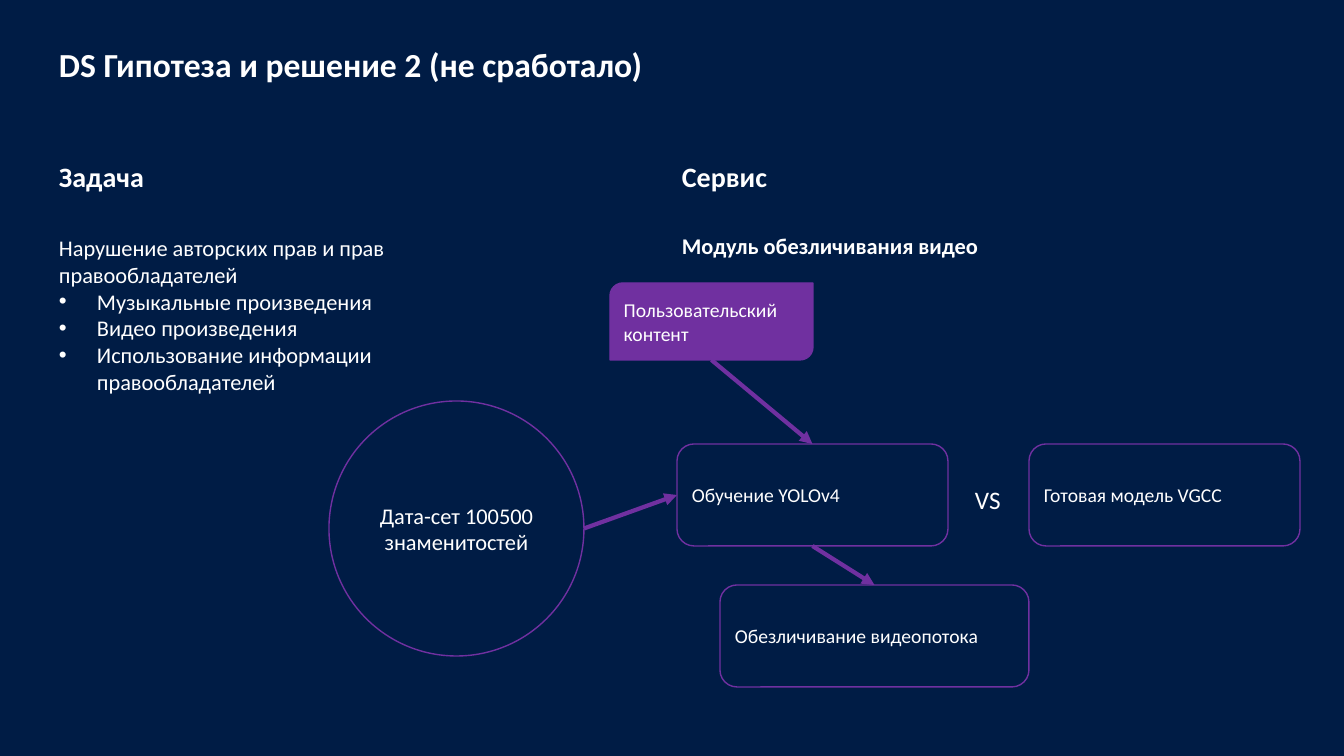
from dataclasses import dataclass

import lxml.etree
import pptx
import pptx.dml.color
import pptx.enum.dml
import pptx.enum.shapes
import pptx.enum.text
import pptx.oxml.ns
import pptx.util

SLIDE_WIDTH, SLIDE_HEIGHT = 1344, 756
EMU_PER_PX = 12192000 / SLIDE_WIDTH
FONT = "Calibri"
NAVY, PURPLE, WHITE = "001C45", "7030A0", "FFFFFF"
BULLET_INDENT = 38

SHAPES = pptx.enum.shapes.MSO_SHAPE
ALIGN = pptx.enum.text.PP_ALIGN


@dataclass
class Label:
    text: str
    left: int
    top: int
    width: int
    height: int
    size: int
    bold: bool = False
    wrap: bool = True
    bulleted_from: int | None = None


@dataclass
class Node:
    text: str
    left: int
    top: int
    width: int
    height: int
    preset: pptx.enum.shapes.MSO_SHAPE = SHAPES.ROUNDED_RECTANGLE
    size: int = 14
    fill: str | None = None
    align: pptx.enum.text.PP_ALIGN = ALIGN.LEFT


def px(length: float) -> int:
    return round(length * EMU_PER_PX)


def color(value: str) -> pptx.dml.color.RGBColor:
    return pptx.dml.color.RGBColor.from_string(value)


def add_child(parent, tag: str, **attributes: str) -> None:
    lxml.etree.SubElement(parent, pptx.oxml.ns.qn(tag), **attributes)


def write(frame, text: str, size: int, bold: bool = False) -> None:
    frame.text = text
    for paragraph in frame.paragraphs:
        for run in paragraph.runs:
            run.font.name = FONT
            run.font.size = pptx.util.Pt(size)
            run.font.bold = bold
            run.font.color.rgb = color(WHITE)


def add_bullet(paragraph) -> None:
    properties = paragraph._p.get_or_add_pPr()
    properties.set("marL", str(px(BULLET_INDENT)))
    properties.set("indent", str(-px(BULLET_INDENT)))
    add_child(properties, "a:buFont", typeface="Arial")
    add_child(properties, "a:buChar", char="•")


def draw_label(slide, label: Label) -> None:
    box = slide.shapes.add_textbox(
        px(label.left), px(label.top), px(label.width), px(label.height))
    frame = box.text_frame
    frame.word_wrap = label.wrap
    frame.auto_size = pptx.enum.text.MSO_AUTO_SIZE.SHAPE_TO_FIT_TEXT
    write(frame, label.text, label.size, label.bold)
    if label.bulleted_from is not None:
        for paragraph in frame.paragraphs[label.bulleted_from:]:
            add_bullet(paragraph)


def draw_node(slide, node: Node):
    shape = slide.shapes.add_shape(
        node.preset, px(node.left), px(node.top), px(node.width), px(node.height))
    shape.shadow.inherit = False
    if node.fill:
        shape.fill.solid()
        shape.fill.fore_color.rgb = color(node.fill)
    else:
        shape.fill.background()
    shape.line.color.rgb = color(PURPLE)
    shape.line.width = pptx.util.Pt(1)
    frame = shape.text_frame
    frame.word_wrap = True
    frame.vertical_anchor = pptx.enum.text.MSO_ANCHOR.MIDDLE
    write(frame, node.text, node.size)
    for paragraph in frame.paragraphs:
        paragraph.alignment = node.align
    return shape


def side_middle(shape, side: int) -> tuple[int, int]:
    """Middle of a side: 0 top, 1 left, 2 bottom, 3 right."""
    across, down = [(0.5, 0), (0, 0.5), (0.5, 1), (1, 0.5)][side]
    return (round(shape.left + across * shape.width),
            round(shape.top + down * shape.height))


def draw_arrow(slide, source, source_side: int, target, target_side: int) -> None:
    arrow = slide.shapes.add_connector(
        pptx.enum.shapes.MSO_CONNECTOR.STRAIGHT,
        *side_middle(source, source_side), *side_middle(target, target_side))
    # Only rounded rectangles number their connection sites like the sides
    if source.auto_shape_type == SHAPES.ROUNDED_RECTANGLE:
        arrow.begin_connect(source, source_side)
    arrow.end_connect(target, target_side)
    arrow.line.color.rgb = color(PURPLE)
    arrow.line.width = pptx.util.Pt(3)
    add_child(arrow.line._get_or_add_ln(), "a:tailEnd", type="triangle")
    add_child(arrow._element.spPr, "a:effectLst")


LABELS = [
    Label("DS Гипотеза и решение 2 (не сработало)", 49, 39, 691, 50, 24,
          bold=True, wrap=False),
    Label("Задача", 49, 155, 466, 44, 20, bold=True),
    Label("Нарушение авторских прав и прав правообладателей\n"
          "Музыкальные произведения\n"
          "Видео произведения\n"
          "Использование информации правообладателей",
          49, 229, 508, 173, 16, bulleted_from=1),
    Label("Сервис", 672, 155, 466, 44, 20, bold=True),
    Label("Модуль обезличивания видео", 672, 227, 466, 37, 16, bold=True),
    Label("VS", 965, 479, 71, 40, 18),
]

USER_CONTENT = Node("Пользовательский контент", 610, 283, 203, 77,
                    SHAPES.ROUND_2_DIAG_RECTANGLE, fill=PURPLE)
DATASET = Node("Дата-сет 100500\nзнаменитостей", 329, 401, 255, 255,
               SHAPES.OVAL, size=16, align=ALIGN.CENTER)
TRAINING = Node("Обучение YOLOv4", 677, 444, 271, 102)
READY_MODEL = Node("Готовая модель VGCC", 1029, 444, 271, 102)
ANONYMIZING = Node("Обезличивание видеопотока", 720, 585, 309, 102)


def main() -> None:
    presentation = pptx.Presentation()
    presentation.slide_width = px(SLIDE_WIDTH)
    presentation.slide_height = px(SLIDE_HEIGHT)
    slide = presentation.slides.add_slide(presentation.slide_layouts[6])
    slide.background.fill.solid()
    slide.background.fill.fore_color.rgb = color(NAVY)

    # Headings and task description
    for label in LABELS:
        draw_label(slide, label)

    # Anonymizing pipeline
    user_content, dataset, training, _, anonymizing = (
        draw_node(slide, node)
        for node in (USER_CONTENT, DATASET, TRAINING, READY_MODEL, ANONYMIZING))
    draw_arrow(slide, user_content, 2, training, 0)
    draw_arrow(slide, dataset, 3, training, 1)
    draw_arrow(slide, training, 2, anonymizing, 0)

    presentation.save("out.pptx")


if __name__ == "__main__":
    main()
